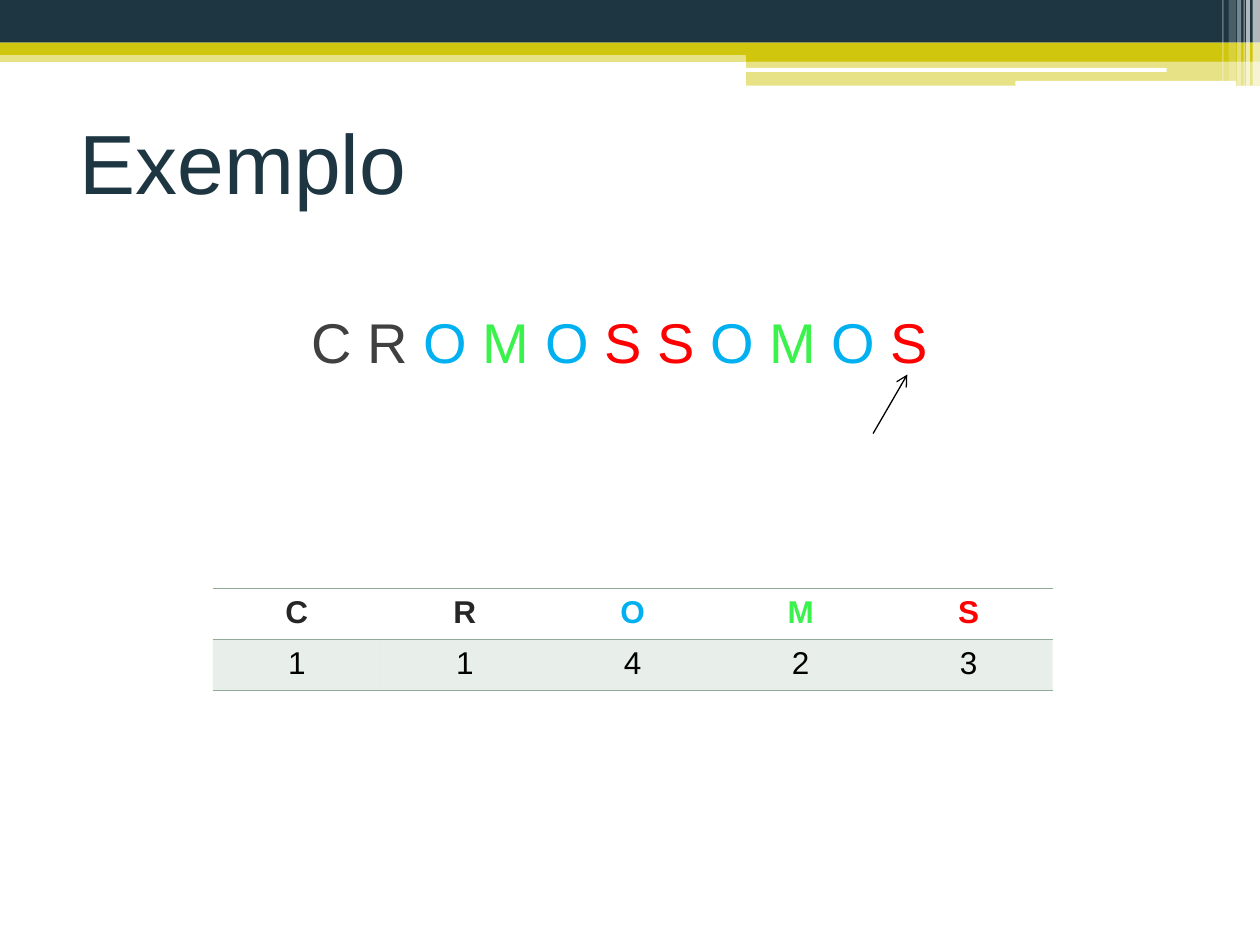
"""Build a slide that counts the letters of a word in a frequency table."""
from dataclasses import dataclass
from itertools import groupby

from lxml.etree import SubElement
from pptx import Presentation
from pptx.dml.color import RGBColor
from pptx.enum.shapes import MSO_CONNECTOR, MSO_SHAPE
from pptx.enum.text import MSO_ANCHOR as Anchor, MSO_AUTO_SIZE as AutoSize, PP_ALIGN as Align
from pptx.oxml import parse_xml
from pptx.oxml.ns import nsdecls, qn
from pptx.util import Cm, Pt


@dataclass(frozen=True)
class Theme:
    font: str = "Arial"
    navy: str = "1D3641"
    yellow: str = "CFC60D"
    white: str = "FFFFFF"
    sage: str = "90AC97"
    black: str = "000000"
    word_gray: str = "404040"
    header_gray: str = "262626"
    title_size: int = 48
    word_size: int = 32
    table_size: int = 18


@dataclass(frozen=True)
class Band:
    left: float
    top: float
    width: float
    height: float
    color: str
    opacity: int = 100
    rounded: bool = False


THEME = Theme()
WORD = "CROMOSSOMOS"
LETTER_COLORS = {"O": "00B0F0", "M": "3BF14C", "S": "FF0000"}
BANDS = [
    Band(0, 1.02, 25.4, 0.23, THEME.yellow, 50),
    Band(0, 0, 25.4, 0.86, THEME.navy),
    Band(0, 0.86, 25.4, 0.25, THEME.yellow),
    Band(15.04, 0.99, 10.36, 0.25, THEME.yellow),
    Band(15.04, 1.23, 10.36, 0.5, THEME.yellow, 50),
    Band(15.01, 1.37, 8.51, 0.08, THEME.white, rounded=True),
    Band(20.47, 1.63, 4.45, 0.1, THEME.white, rounded=True),
    Band(25.25, 0, 0.15, 1.73, THEME.white, 65),
    Band(25.12, 0, 0.08, 1.73, THEME.white, 65),
    Band(25.07, 0, 0.02, 1.73, THEME.white, 60),
    Band(24.94, 0, 0.08, 1.73, THEME.white, 40),
    Band(24.77, 0, 0.15, 1.63, THEME.white, 20),
    Band(24.64, 0, 0.03, 1.63, THEME.white, 30),
]


def apply_format(target, values: dict) -> None:
    for name, value in values.items():
        setattr(target, name, value)


def fill_solid(fill, properties, color: str, opacity: int = 100) -> None:
    fill.solid()
    fill.fore_color.rgb = RGBColor.from_string(color)
    if opacity < 100:
        color_node = next(properties.iter(qn("a:srgbClr")))
        SubElement(color_node, qn("a:alpha"), val=str(opacity * 1000))


def add_run(paragraph, text: str, size: int, color: str, bold: bool = False) -> None:
    run = paragraph.add_run()
    run.text = text
    apply_format(run.font, {"name": THEME.font, "size": Pt(size), "bold": bold})
    run.font.color.rgb = RGBColor.from_string(color)


def draw_band(slide, band: Band) -> None:
    kind = MSO_SHAPE.ROUNDED_RECTANGLE if band.rounded else MSO_SHAPE.RECTANGLE
    shape = slide.shapes.add_shape(
        kind, Cm(band.left), Cm(band.top), Cm(band.width), Cm(band.height))
    shape.shadow.inherit = False
    shape.line.fill.background()
    fill_solid(shape.fill, shape.element.spPr, band.color, band.opacity)


def draw_title(slide, text: str) -> None:
    title = slide.shapes.title
    apply_format(title, {"left": Cm(1.35), "top": Cm(1.98),
                         "width": Cm(20.96), "height": Cm(2.54)})
    apply_format(title.text_frame, {"vertical_anchor": Anchor.MIDDLE,
                                    "auto_size": AutoSize.NONE})
    paragraph = title.text_frame.paragraphs[0]
    paragraph.alignment = Align.LEFT
    add_run(paragraph, text, THEME.title_size, THEME.navy)


def draw_word(slide, word: str) -> None:
    box = slide.shapes.add_textbox(Cm(1.09), Cm(6.07), Cm(22.81), Cm(1.63))
    apply_format(box.text_frame, {"word_wrap": True,
                                  "auto_size": AutoSize.SHAPE_TO_FIT_TEXT})
    paragraph = box.text_frame.paragraphs[0]
    paragraph.alignment = Align.CENTER
    spaced = [letter + " " for letter in word[:-1]] + [word[-1]]
    for color, letters in groupby(
            spaced, lambda part: LETTER_COLORS.get(part[0], THEME.word_gray)):
        add_run(paragraph, "".join(letters), THEME.word_size, color)


def draw_arrow(slide) -> None:
    arrow = slide.shapes.add_connector(
        MSO_CONNECTOR.STRAIGHT, Cm(17.6), Cm(8.74), Cm(18.29), Cm(7.55))
    arrow.line.width = Pt(0.75)
    arrow.line.color.rgb = RGBColor.from_string(THEME.black)
    SubElement(arrow.line._get_or_add_ln(), qn("a:tailEnd"), type="arrow")
    SubElement(arrow._element.spPr, qn("a:effectLst"))


def add_border(properties, position: int, side: str) -> None:
    properties.insert(position, parse_xml(
        f'<a:{side} {nsdecls("a")} w="12700"><a:solidFill>'
        f'<a:srgbClr val="{THEME.sage}"/></a:solidFill></a:{side}>'))


def draw_counts(slide, word: str) -> None:
    letters = list(dict.fromkeys(word))
    frame = slide.shapes.add_table(
        2, len(letters), Cm(4.29), Cm(11.86), Cm(16.93), Cm(2.06))
    table = frame.table
    apply_format(table, {"first_row": False, "horz_banding": False})
    style = table._tbl.tblPr.find(qn("a:tableStyleId"))
    style.text = "{2D5ABB26-0587-4C30-8999-92F81FD0307C}"
    for column, letter in enumerate(letters):
        header_color = LETTER_COLORS.get(letter, THEME.header_gray)
        entries = [(letter, header_color, True),
                   (str(word.count(letter)), THEME.black, False)]
        for row, (text, color, bold) in enumerate(entries):
            cell = table.cell(row, column)
            paragraph = cell.text_frame.paragraphs[0]
            paragraph.alignment = Align.CENTER
            add_run(paragraph, text, THEME.table_size, color, bold)
            properties = cell._tc.get_or_add_tcPr()
            if row:
                fill_solid(cell.fill, properties, THEME.sage, 20)
            else:
                cell.fill.background()
            for position, side in enumerate(("lnT", "lnB")):
                add_border(properties, position, side)


def main() -> None:
    presentation = Presentation()
    apply_format(presentation, {"slide_width": Cm(25.4), "slide_height": Cm(19.05)})
    slide = presentation.slides.add_slide(presentation.slide_layouts[5])
    for band in BANDS:
        draw_band(slide, band)
    draw_title(slide, "Exemplo")
    draw_word(slide, WORD)
    draw_counts(slide, WORD)
    draw_arrow(slide)
    presentation.save("out.pptx")


main()
